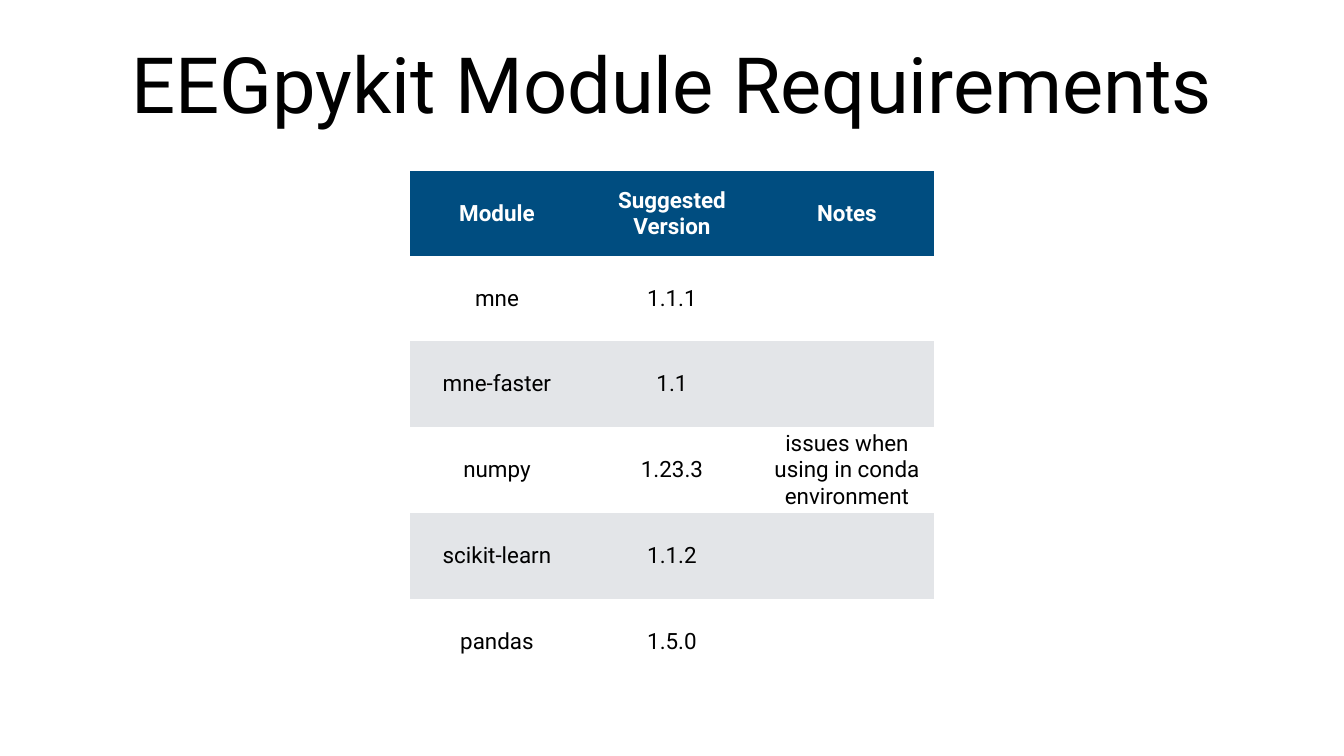
from pptx import Presentation
from pptx.dml.color import RGBColor
from pptx.enum.text import MSO_ANCHOR as Anchor, PP_ALIGN as Align
from pptx.util import Cm, Pt

BLACK = RGBColor(0x00, 0x00, 0x00)
WHITE = RGBColor(0xFF, 0xFF, 0xFF)
NAVY = RGBColor(0x00, 0x4D, 0x80)
GREY = RGBColor(0xE3, 0xE5, 0xE8)

NO_STYLE_NO_GRID = "{2D5ABB26-0587-4C30-8999-92F81FD0307C}"

HEADER = ("Module", "Suggested Version", "Notes")
REQUIREMENTS = (
    ("mne", "1.1.1", ""),
    ("mne-faster", "1.1", ""),
    ("numpy", "1.23.3", "issues when using in conda environment"),
    ("scikit-learn", "1.1.2", ""),
    ("pandas", "1.5.0", ""),
)


class SlideBuilder:
    font_name = "Roboto"
    inset = Cm(0.15)

    def __init__(self, slide):
        self.slide = slide

    def set_margins(self, target):
        for side in ("left", "top", "right", "bottom"):
            setattr(target, f"margin_{side}", self.inset)

    def set_text(self, frame, text, color, **font_format):
        frame.text = text
        paragraph = frame.paragraphs[0]
        paragraph.alignment = Align.CENTER
        for name, value in {"name": self.font_name, **font_format}.items():
            setattr(paragraph.font, name, value)
        paragraph.font.color.rgb = color

    def add_title(self, text, left, top, width, height):
        box = self.slide.shapes.add_textbox(Cm(left), Cm(top), Cm(width), Cm(height))
        frame = box.text_frame
        frame.word_wrap = True
        frame.vertical_anchor = Anchor.MIDDLE
        self.set_margins(frame)
        self.set_text(frame, text, BLACK, size=Pt(110.9))

    def add_table(self, rows, left, top, column_width, row_height):
        """Add a table with a dark header and alternating row fills."""
        column_count = len(rows[0])
        shape = self.slide.shapes.add_table(
            len(rows), column_count, Cm(left), Cm(top),
            Cm(column_width * column_count), Cm(row_height * len(rows)))
        shape.element.xpath(".//a:tableStyleId")[0].text = NO_STYLE_NO_GRID
        for row_index, row in enumerate(rows):
            is_header = row_index == 0
            fill = NAVY if is_header else (GREY, WHITE)[row_index % 2]
            for column_index, text in enumerate(row):
                cell = shape.table.cell(row_index, column_index)
                cell.fill.solid()
                cell.fill.fore_color.rgb = fill
                cell.vertical_anchor = Anchor.MIDDLE
                self.set_margins(cell)
                self.set_text(cell.text_frame, text, WHITE if is_header else BLACK,
                              size=Pt(32), bold=is_header)


def main():
    presentation = Presentation()
    presentation.slide_width = Cm(67.74)
    presentation.slide_height = Cm(38.1)
    builder = SlideBuilder(presentation.slides.add_slide(presentation.slide_layouts[6]))
    builder.add_title("EEGpykit Module Requirements", 4.7, 1, 58.34, 6.35)
    builder.add_table((HEADER, *REQUIREMENTS), 20.64, 8.61, 8.82, 4.3)
    presentation.save("out.pptx")


if __name__ == "__main__":
    main()
